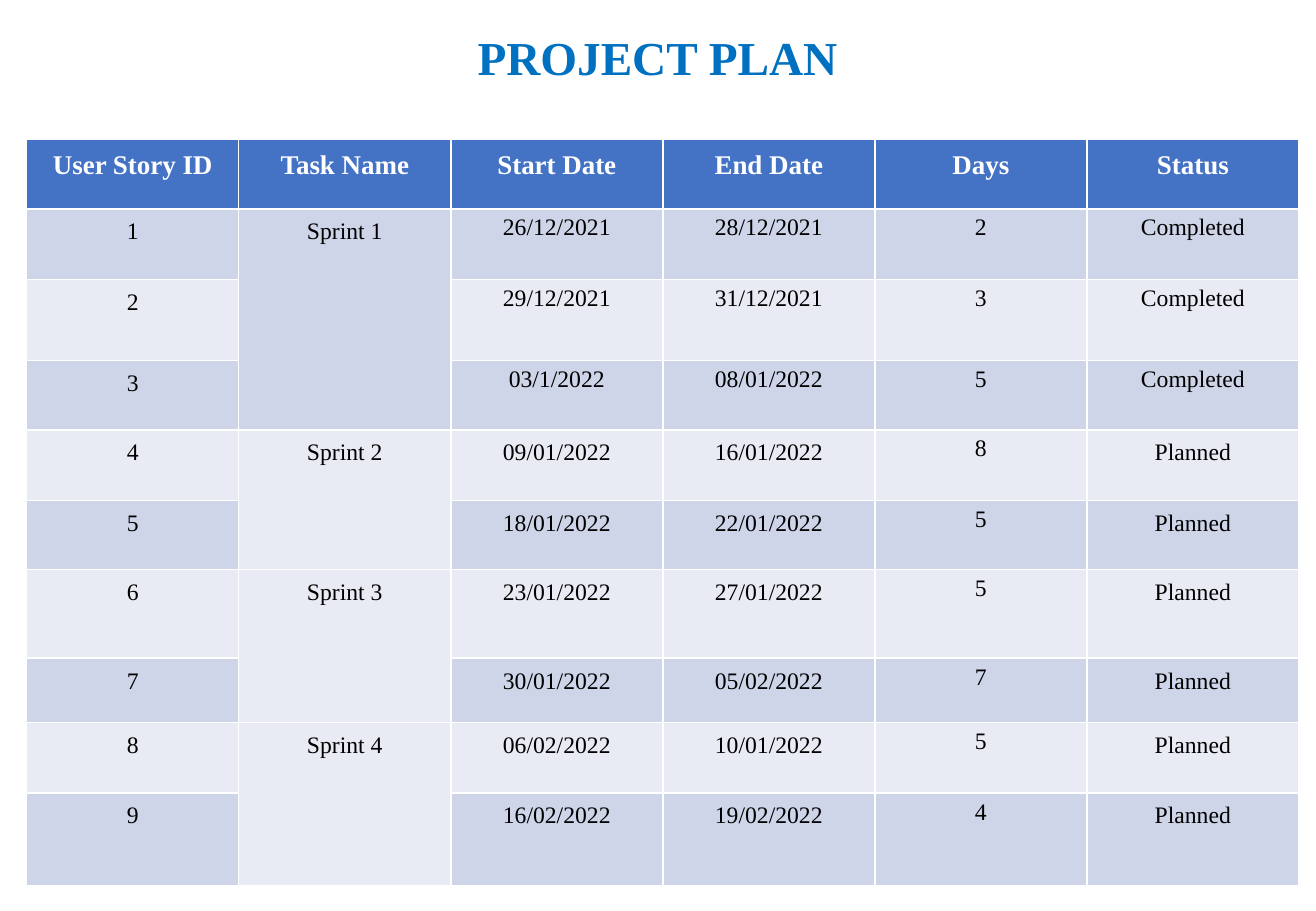
from pptx import Presentation
from pptx.dml.color import RGBColor
from pptx.enum.text import MSO_ANCHOR, PP_ALIGN
from pptx.util import Inches, Pt

CENTER = PP_ALIGN.CENTER
MIDDLE = MSO_ANCHOR.MIDDLE
FONT = "Times New Roman"
WIDE, HIGH = 10.83, 7.5
HEAD_FILL, ODD_FILL, EVEN_FILL = "4472C4", "CFD5E9", "E8EBF4"

HEADS = ["User Story ID", "Task Name", "Start Date", "End Date", "Days", "Status"]
HEIGHTS = [0.57, 0.58, 0.67, 0.57, 0.58, 0.57, 0.73, 0.53, 0.58, 0.76]
DAYS_COL = HEADS.index("Days")
# Each sprint lists its stories as start, end, days and status.
SPRINTS = [
    ("Sprint 1", [
        ("26/12/2021", "28/12/2021", "2", "Completed"),
        ("29/12/2021", "31/12/2021", "3", "Completed"),
        ("03/1/2022", "08/01/2022", "5", "Completed"),
    ]),
    ("Sprint 2", [
        ("09/01/2022", "16/01/2022", "8", "Planned"),
        ("18/01/2022", "22/01/2022", "5", "Planned"),
    ]),
    ("Sprint 3", [
        ("23/01/2022", "27/01/2022", "5", "Planned"),
        ("30/01/2022", "05/02/2022", "7", "Planned"),
    ]),
    ("Sprint 4", [
        ("06/02/2022", "10/01/2022", "5", "Planned"),
        ("16/02/2022", "19/02/2022", "4", "Planned"),
    ]),
]


def rgb(code):
    return RGBColor.from_string(code)


def write(frame, text, size, color, bold, spacing):
    """Put one centred line of text in a frame."""
    frame.text = text
    line = frame.paragraphs[0]
    line.alignment = CENTER
    line.line_spacing = spacing
    font = line.runs[0].font
    font.name, font.size, font.bold = FONT, Pt(size), bold
    font.color.rgb = rgb(color)


def add_title(slide, text):
    title = slide.shapes.title
    title.left, title.top = Inches(0.74), 0
    title.width, title.height = Inches(9.34), Inches(0.99)
    title.text_frame.vertical_anchor = MIDDLE
    write(title.text_frame, text, 28, "0070C0", True, 0.9)


def fill_head(table):
    for col, text in enumerate(HEADS):
        cell = table.cell(0, col)
        paint(cell, HEAD_FILL)
        write(cell.text_frame, text, 16, "FFFFFF", True, 1.15)


def paint(cell, color):
    cell.fill.solid()
    cell.fill.fore_color.rgb = rgb(color)


def fill_row(table, row, sprint, story):
    """Fill one story's row; sprint is empty below a sprint's first story."""
    for col, text in enumerate([str(row), sprint, *story]):
        cell = table.cell(row, col)
        paint(cell, ODD_FILL if row % 2 else EVEN_FILL)
        tight = col == DAYS_COL or (col > 1 and story[-1] == "Completed")
        if text:
            write(cell.text_frame, text, 14, "000000", False, 1.0 if tight else 1.15)


def add_plan(slide):
    left, top = 0.22, 1.15
    frame = slide.shapes.add_table(
        len(HEIGHTS), len(HEADS), Inches(left), Inches(top),
        Inches(10.47), Inches(sum(HEIGHTS)))
    table = frame.table
    for line, height in zip(table.rows, HEIGHTS):
        line.height = Inches(height)
    fill_head(table)
    row = 1
    for sprint, stories in SPRINTS:
        last = row + len(stories) - 1
        table.cell(row, 1).merge(table.cell(last, 1))
        for step, story in enumerate(stories):
            fill_row(table, row + step, "" if step else sprint, story)
        row = last + 1


def main():
    deck = Presentation()
    deck.slide_width, deck.slide_height = Inches(WIDE), Inches(HIGH)
    slide = deck.slides.add_slide(deck.slide_layouts.get_by_name("Title Only"))
    add_title(slide, "PROJECT PLAN")
    add_plan(slide)
    deck.save("out.pptx")


if __name__ == "__main__":
    main()
